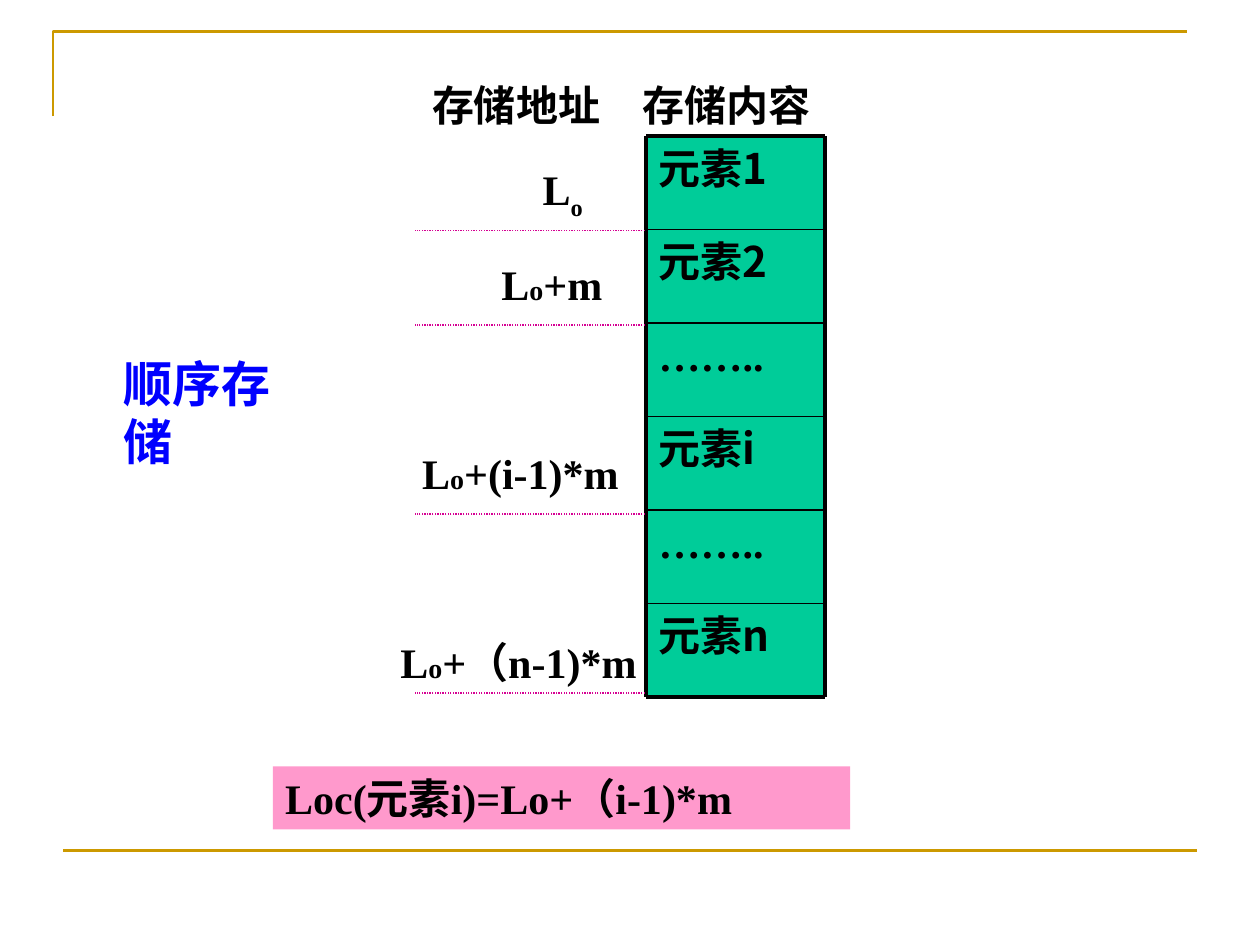
"""Build the slide on sequential storage: a column of elements and their addresses."""
from lxml import etree
from pptx import Presentation
from pptx.dml.color import RGBColor
from pptx.enum.dml import MSO_LINE
from pptx.enum.shapes import MSO_CONNECTOR, MSO_SHAPE
from pptx.enum.text import MSO_ANCHOR, MSO_AUTO_SIZE, PP_ALIGN
from pptx.oxml.ns import qn
from pptx.util import Cm, Pt

STRAIGHT = MSO_CONNECTOR.STRAIGHT
RECTANGLE = MSO_SHAPE.RECTANGLE
DOTTED = MSO_LINE.ROUND_DOT
TOP = MSO_ANCHOR.TOP
LEFT = PP_ALIGN.LEFT
NO_AUTOFIT = MSO_AUTO_SIZE.NONE

SERIF, SANS = "Times New Roman", "Noto Sans CJK SC"
BLACK, BLUE, GOLD = "000000", "0000FF", "CC9900"
GREEN, PINK, MAGENTA = "00CC99", "FF99CC", "D60093"

ELEMENTS = ["元素1", "元素2", "……..", "元素i", "……..", "元素n"]
COLUMN_LEFT, COLUMN_TOP = 13.03, 2.74
COLUMN_WIDTH, COLUMN_HEIGHT = 3.6, 11.31
HEADINGS = [("存储地址", 8.46, 4.34), ("存储内容", 12.7, 4.01)]
ADDRESSES = [
    ("+m", 9.86, 5.08, 2.97, 1.27),
    ("+(i-1)*m", 8.26, 8.89, 5.41, 1.27),
    ("+（n-1)*m", 7.82, 12.7, 5.28, 2.29),
]
ADDRESS_RULES = [4.65, 6.55, 10.36, 13.97]


def rgb(value):
    """Return the colour for a hex string."""
    return RGBColor.from_string(value)


def format_paragraph(paragraph, size=24, font_name=SERIF, color=BLACK):
    """Give a paragraph its bold font and left alignment."""
    paragraph.alignment = LEFT
    font = paragraph.font
    font.name, font.size, font.bold = font_name, Pt(size), True
    font.color.rgb = rgb(color)
    defaults = paragraph._p.pPr.find(qn("a:defRPr"))
    etree.SubElement(defaults, qn("a:ea")).set("typeface", SANS)


def add_label(slide, text, left, top, width, height):
    """Add a wrapping text label and return its paragraph."""
    frame = slide.shapes.add_textbox(Cm(left), Cm(top), Cm(width), Cm(height)).text_frame
    frame.word_wrap = True
    paragraph = frame.paragraphs[0]
    paragraph.add_run().text = text
    format_paragraph(paragraph)
    return paragraph


def add_block(slide, text, left, top, width, height, fill, font_name=SERIF):
    """Add a filled rectangle with text at its top left."""
    block = slide.shapes.add_shape(RECTANGLE, Cm(left), Cm(top), Cm(width), Cm(height))
    block.shadow.inherit = False
    block.fill.solid()
    block.fill.fore_color.rgb = rgb(fill)
    block.line.fill.background()
    frame = block.text_frame
    frame.vertical_anchor = TOP
    frame.text = text
    format_paragraph(frame.paragraphs[0], font_name=font_name)


def add_line(slide, x1, y1, x2, y2, color, width, dash=None):
    """Add a straight line without a shadow."""
    connector = slide.shapes.add_connector(STRAIGHT, Cm(x1), Cm(y1), Cm(x2), Cm(y2))
    connector.line.color.rgb = rgb(color)
    connector.line.width = Pt(width)
    if dash is not None:
        connector.line.dash_style = dash
    etree.SubElement(connector._element.spPr, qn("a:effectLst"))


def add_frame_lines(slide):
    """Draw the gold corner at the top and the gold line at the bottom."""
    builder = slide.shapes.build_freeform(Cm(1.07), Cm(2.34))
    builder.add_line_segments([(Cm(1.07), Cm(0.64)), (Cm(23.93), Cm(0.64))], close=False)
    corner = builder.convert_to_shape()
    corner.shadow.inherit = False
    corner.fill.background()
    corner.line.color.rgb = rgb(GOLD)
    corner.line.width = Pt(1.5)
    add_line(slide, 1.27, 17.15, 24.13, 17.15, GOLD, 1.5)


def add_storage_column(slide):
    """Draw the stacked elements with their inner and outer rules."""
    row_height = COLUMN_HEIGHT / len(ELEMENTS)
    right, bottom = COLUMN_LEFT + COLUMN_WIDTH, COLUMN_TOP + COLUMN_HEIGHT
    for row, element in enumerate(ELEMENTS):
        font_name = SANS if element.startswith("元素") else SERIF
        add_block(slide, element, COLUMN_LEFT, COLUMN_TOP + row * row_height,
                  COLUMN_WIDTH, row_height, GREEN, font_name)
    for row in range(len(ELEMENTS) + 1):
        y = COLUMN_TOP + row * row_height
        width = 2.25 if row in (0, len(ELEMENTS)) else 1
        add_line(slide, COLUMN_LEFT, y, right, y, BLACK, width)
    for x in (COLUMN_LEFT, right):
        add_line(slide, x, COLUMN_TOP, x, bottom, BLACK, 2.25)


def add_addresses(slide):
    """Write the address of each element and the dotted rules below."""
    base = add_label(slide, "L", 10.69, 3.18, 2.11, 1.42)
    subscript = base.add_run()
    subscript.text = "o"
    subscript._r.get_or_add_rPr().set("baseline", "-25000")
    for offset, *box in ADDRESSES:
        address = add_label(slide, "L", *box)
        small = address.add_run()
        small.text = "o"
        small.font.size = Pt(16)
        address.add_run().text = offset
    for y in ADDRESS_RULES:
        add_line(slide, 13, y, 8.36, y, MAGENTA, 0.75, DOTTED)


def add_title(slide):
    """Place and format the title beside the column."""
    title = slide.shapes.title
    title.left, title.top, title.width, title.height = Cm(2.24), Cm(6.99), Cm(4.45), Cm(1.45)
    frame = title.text_frame
    frame.text = "顺序存储"
    frame.word_wrap = False
    frame.auto_size = NO_AUTOFIT
    frame.vertical_anchor = TOP
    format_paragraph(frame.paragraphs[0], size=28, color=BLUE)


def main():
    """Build and save the slide."""
    presentation = Presentation()
    presentation.slide_width, presentation.slide_height = Cm(25.4), Cm(19.05)
    slide = presentation.slides.add_slide(presentation.slide_layouts[5])
    add_title(slide)
    add_frame_lines(slide)
    add_storage_column(slide)
    add_addresses(slide)
    for heading, left, width in HEADINGS:
        add_label(slide, heading, left, 1.48, width, 1.27)
    add_block(slide, "Loc(元素i)=Lo+（i-1)*m", 5.5, 15.45, 11.64, 1.27, PINK)
    presentation.save("out.pptx")


if __name__ == "__main__":
    main()
